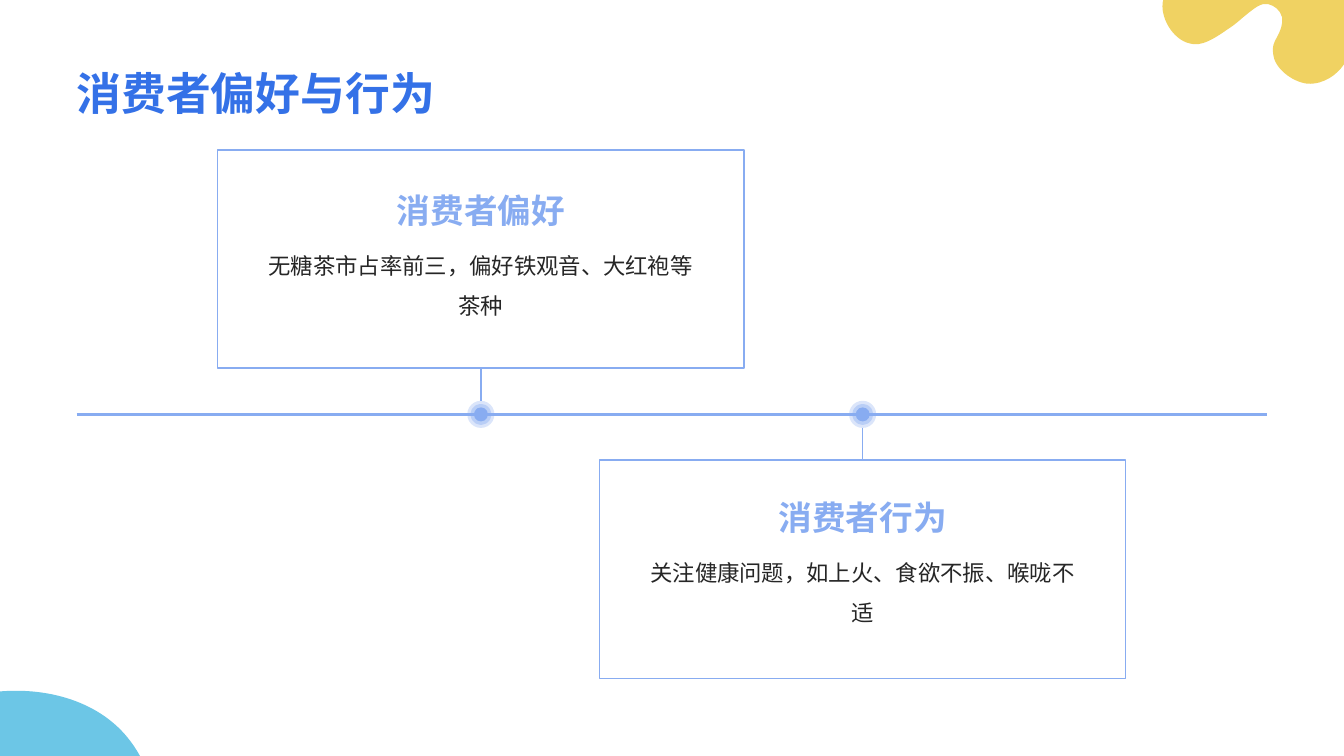
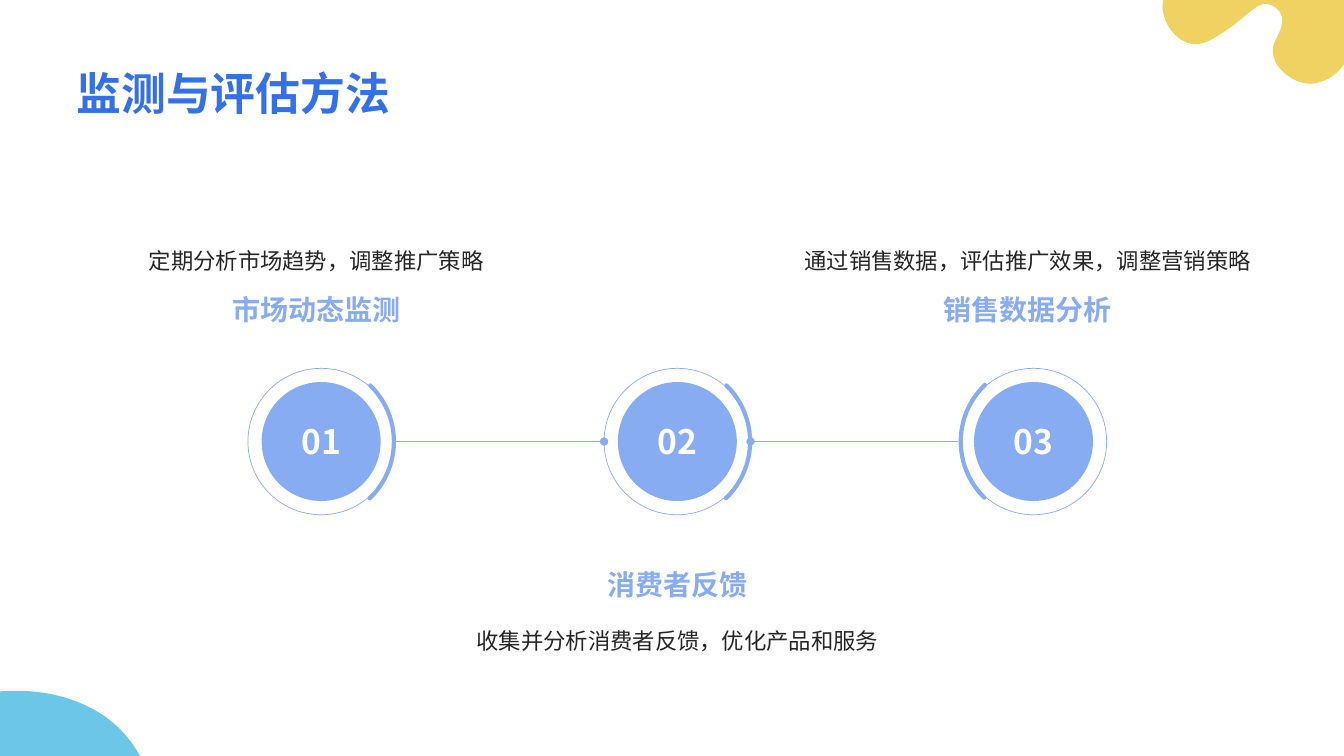
import lxml.etree
import pptx
import pptx.dml.color
import pptx.enum.shapes
import pptx.enum.text
import pptx.oxml.ns
import pptx.util

Pt = pptx.util.Pt
RGB = pptx.dml.color.RGBColor
Kind = pptx.enum.shapes.MSO_SHAPE
Link = pptx.enum.shapes.MSO_CONNECTOR
Align = pptx.enum.text.PP_ALIGN
Anchor = pptx.enum.text.MSO_ANCHOR
qn = pptx.oxml.ns.qn

FONT = "Noto Sans CJK SC"
BLUE = RGB(0x34, 0x71, 0xE7)
PALE = RGB(0x88, 0xAC, 0xF1)
INK = RGB(0x26, 0x26, 0x26)
WHITE = RGB(0xFF, 0xFF, 0xFF)
GOLD = RGB(0xF0, 0xD2, 0x62)
AQUA = RGB(0x6C, 0xC6, 0xE6)

# Outlines: a pair is a corner, six numbers are a Bezier curve.
BLOB = [
    (830.9, 0), (960, 0), (960, 46),
    (955, 53.5, 945.5, 60.5, 933.8, 59.8),
    (922.3, 58.3, 910, 48.2, 909.4, 38.2),
    (908.6, 33.8, 910, 30.2, 912.2, 26.6),
    (914.4, 22.3, 916.6, 18, 915.8, 12.2),
    (914.4, 7.2, 910.8, 4.3, 905.8, 2.9),
    (900.7, 2.2, 897.1, 5, 889.9, 10.8),
    (886.3, 13.7, 882.7, 17.3, 877, 20.9),
    (867.6, 27.4, 858.2, 33.8, 849.6, 31),
    (837.4, 28.1, 828, 11.5, 830.9, 0),
]
HILL = [
    (100, 540), (0, 540), (0, 493.9),
    (34.6, 491, 69.8, 501.1, 90.7, 526.3),
    (94.3, 530.6, 97.2, 535, 100, 540),
]

HABITS = "消费者偏好与行为"
# centre x, card top, heading top, side of the card that meets the stem
CARDS = [
    (343.5, 107, 109.4, 2, "消费者偏好",
     "无糖茶市占率前三，偏好铁观音、大红袍等茶种"),
    (616.2, 328.7, 328.7, 0, "消费者行为",
     "关注健康问题，如上火、食欲不振、喉咙不适"),
]
AXIS = 296

METHODS = "监测与评估方法"
# text centre, text above the circle, side of the arc, heading, body
STEPS = [
    (226, True, 1, "市场动态监测", "定期分析市场趋势，调整推广策略"),
    (484, False, 1, "消费者反馈", "收集并分析消费者反馈，优化产品和服务"),
    (734.2, True, -1, "销售数据分析", "通过销售数据，评估推广效果，调整营销策略"),
]
FIRST, GAP, ROW = 229.4, 254.4, 315.4


def paint(shape, fill=None, line=None):
    shape.shadow.inherit = False
    if fill is None:
        shape.fill.background()
    else:
        shape.fill.solid()
        shape.fill.fore_color.rgb = fill
    if line is None:
        shape.line.fill.background()
    else:
        shape.line.color.rgb = PALE
        shape.line.width = Pt(line)


def outline(slide, points, color):
    """Build a freeform, then bend the segments that are curves."""
    ends = [(Pt(item[-2]), Pt(item[-1])) for item in points]
    maker = slide.shapes.build_freeform(*ends[0])
    maker.add_line_segments(ends[1:])
    shape = maker.convert_to_shape()
    paint(shape, fill=color)
    path = shape.element.spPr.xpath(".//a:path")[0]
    for item, step in zip(points[1:], list(path)[1:]):
        if len(item) == 2:
            continue
        curve = lxml.etree.Element(qn("a:cubicBezTo"))
        for x, y in zip(item[::2], item[1::2]):
            lxml.etree.SubElement(curve, qn("a:pt"),
                                  x=str(Pt(x) - shape.left),
                                  y=str(Pt(y) - shape.top))
        path.replace(step, curve)


def fade(shape, part, share):
    """Set the opacity of the fill or line, in percent."""
    for tint in shape.element.spPr.xpath(f"./{part}//a:srgbClr"):
        lxml.etree.SubElement(tint, qn("a:alpha"), val=str(share * 1000))


def write(shape, text, size, color, bold=False, anchor=Anchor.TOP,
          align=Align.CENTER, space=None, wrap=True):
    frame = shape.text_frame
    frame.text = text
    frame.word_wrap = wrap
    frame.vertical_anchor = anchor
    frame.margin_left = frame.margin_right = 0
    frame.margin_top = frame.margin_bottom = 0
    para = frame.paragraphs[0]
    para.alignment = align
    if space:
        para.line_spacing = space
    font = para.runs[0].font
    font.size, font.bold, font.name = Pt(size), bold, FONT
    font.color.rgb = color
    props = para.runs[0].font._element
    lxml.etree.SubElement(props, qn("a:ea"), typeface=FONT)


def label(slide, x, y, w, h, text, size, color, **style):
    box = slide.shapes.add_textbox(Pt(x), Pt(y), Pt(w), Pt(h))
    write(box, text, size, color, **style)


def round_at(slide, x, y, size, kind=Kind.OVAL, **look):
    """Add a round shape by its centre."""
    shape = slide.shapes.add_shape(
        kind, Pt(x - size / 2), Pt(y - size / 2), Pt(size), Pt(size))
    paint(shape, **look)
    return shape


def link(slide, start, end, width):
    line = slide.shapes.add_connector(
        Link.STRAIGHT, *(Pt(v) for v in start + end))
    line.line.color.rgb = PALE
    line.line.width = Pt(width)
    lxml.etree.SubElement(line._element.spPr, qn("a:effectLst"))
    return line


def add_page(deck, title):
    slide = deck.slides.add_slide(deck.slide_layouts[6])
    outline(slide, BLOB, GOLD)
    outline(slide, HILL, AQUA)
    label(slide, 54.7, 28, 850.5, 57, title, 32, BLUE, bold=True,
          anchor=Anchor.BOTTOM, align=Align.LEFT)
    return slide


def add_habits(deck):
    slide = add_page(deck, HABITS)
    for x, top, text_top, side, head, body in CARDS:
        halo = round_at(slide, x, AXIS, 19.4, fill=PALE)
        fade(halo, "a:solidFill", 30)
        dot = round_at(slide, x, AXIS, 10, fill=PALE, line=5)
        fade(dot, "a:ln", 40)
        card = slide.shapes.add_shape(
            Kind.RECTANGLE, Pt(x - 188), Pt(top), Pt(376), Pt(156))
        paint(card, line=1)
        away = 9.7 if side == 0 else -9.7
        stem = link(slide, (x, AXIS + away), (x, AXIS + 2 * away), 1)
        stem.end_connect(card, side)
        label(slide, x - 158, text_top + 61, 316, 95, body, 16, INK,
              space=1.5)
        label(slide, x - 158, text_top, 316, 55, head, 24, PALE,
              bold=True, anchor=Anchor.BOTTOM)
    link(slide, (54.7, AXIS), (905.2, AXIS), 2)


def add_methods(deck):
    slide = add_page(deck, METHODS)
    middle = FIRST + GAP
    for n, (mid, above, side, head, body) in enumerate(STEPS):
        x = FIRST + n * GAP
        round_at(slide, x, ROW, 104.6, line=0.5)
        disc = round_at(slide, x, ROW, 85, fill=PALE)
        write(disc, f"{n + 1:02}", 24, WHITE, bold=True,
              anchor=Anchor.MIDDLE, wrap=False)
        arc = round_at(slide, x - 4 * side, ROW, 112, Kind.ARC, line=3)
        arc.adjustments[0], arc.adjustments[1] = 26.57, 81.76
        arc.rotation = 270 if side > 0 else 90
        arc.element.spPr.find(qn("a:ln")).set("cap", "rnd")
        if above:
            line = link(slide, (x + 53.7 * side, ROW),
                        (middle - 52.3 * side, ROW), 1.25)
            edge = line._element.spPr.find(qn("a:ln"))
            lxml.etree.SubElement(edge, qn("a:tailEnd"), type="oval")
        tops = (122.4, 209) if above else (438.5, 389.5)
        near, far = Anchor.TOP, Anchor.BOTTOM
        if not above:
            near, far = far, near
        label(slide, mid - 170.5, tops[0], 341, 73, body, 16, INK,
              anchor=far, space=1.5)
        label(slide, mid - 170.5, tops[1], 341, 39.6, head, 20, PALE,
              bold=True, anchor=near)


def main():
    deck = pptx.Presentation()
    deck.slide_width, deck.slide_height = Pt(960), Pt(540)
    add_habits(deck)
    add_methods(deck)
    deck.save("out.pptx")


if __name__ == "__main__":
    main()
